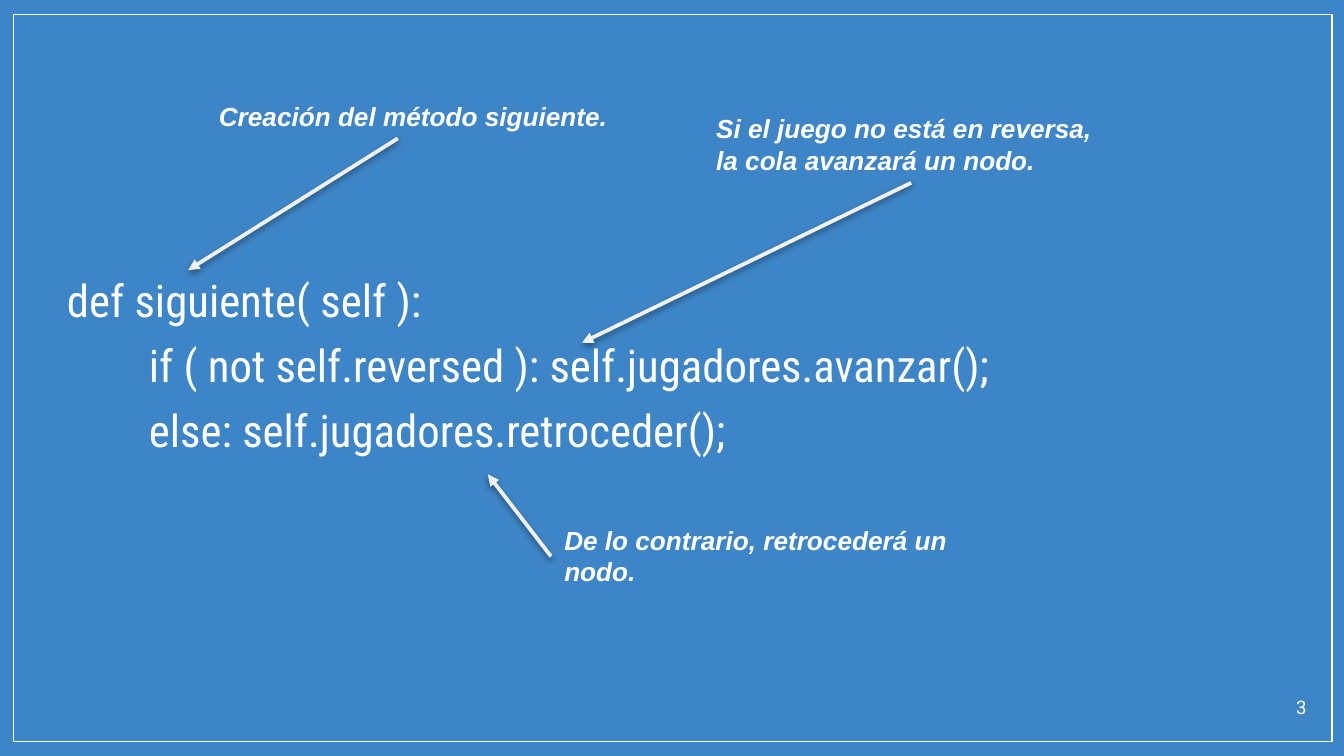
import pptx
import pptx.dml.color
import pptx.enum.shapes
import pptx.enum.text
import pptx.oxml
import pptx.oxml.ns
import pptx.util
from pptx.util import Inches

THEME = {
    "background": pptx.dml.color.RGBColor.from_string("3D85C6"),
    "text": pptx.dml.color.RGBColor.from_string("FFFFFF"),
    "arrow": pptx.dml.color.RGBColor.from_string("F2F2F2"),
    "code_size": pptx.util.Pt(24),
    "note_size": pptx.util.Pt(14),
    "number_size": pptx.util.Pt(10),
}
SHADOW = (
    f'<a:effectLst {pptx.oxml.ns.nsdecls("a")}>'
    '<a:outerShdw blurRad="40000" dist="20000" dir="5400000" rotWithShape="0">'
    '<a:srgbClr val="000000"><a:alpha val="38000"/></a:srgbClr>'
    "</a:outerShdw></a:effectLst>"
)
ARROWHEAD = f'<a:tailEnd {pptx.oxml.ns.nsdecls("a")} type="triangle"/>'


def add_text(box, lines, font_name, size, inset=None):
    """Add a wrapped text box and return its paragraphs."""
    shape = slide.shapes.add_textbox(*map(Inches, box))
    frame = shape.text_frame
    frame.word_wrap = True
    if inset is not None:
        frame.margin_left = frame.margin_right = Inches(inset)
        frame.margin_top = frame.margin_bottom = Inches(inset)
    frame.text = "\n".join(lines)
    for paragraph in frame.paragraphs:
        paragraph.font.name = font_name
        paragraph.font.size = size
        paragraph.font.color.rgb = THEME["text"]
    return frame.paragraphs


# Widescreen, 16:9
presentation = pptx.Presentation()
presentation.slide_width = Inches(10)
presentation.slide_height = Inches(10 * 9 / 16)
slide = presentation.slides.add_slide(presentation.slide_layouts[6])
slide.background.fill.solid()
slide.background.fill.fore_color.rgb = THEME["background"]

border = slide.shapes.add_shape(
    pptx.enum.shapes.MSO_SHAPE.RECTANGLE,
    Inches(0.1), Inches(0.11), Inches(9.81), Inches(5.41),
)
border.shadow.inherit = False
border.fill.background()
border.line.color.rgb = THEME["text"]
border.line.width = pptx.util.Pt(0.75)

# Code, with the method body indented
code = add_text(
    (0.32, 1.93, 9.37, 2.2),
    [
        "def siguiente( self ):",
        "if ( not self.reversed ): self.jugadores.avanzar();",
        "else: self.jugadores.retroceder();",
    ],
    "Roboto Condensed", THEME["code_size"], inset=0.1,
)
for paragraph, indent in zip(code, (0.08, 0.69, 0.69)):
    paragraph.space_before = pptx.util.Pt(6)
    paragraph._p.get_or_add_pPr().set("marL", str(Inches(indent)))

# Notes, each with an arrow to the code it explains
notes = [
    ("Creación del método siguiente.", (1.53, 0.7, 3.11, 0.34), (2.96, 1.03), (1.4, 2.01)),
    ("Si el juego no está en reversa, la cola avanzará un nodo.",
     (5.23, 0.79, 3.11, 0.57), (6.78, 1.36), (4.33, 2.55)),
    ("De lo contrario, retrocederá un nodo.",
     (4.1, 3.85, 3.11, 0.57), (4.1, 4.14), (3.63, 3.53)),
]
for note, box, start, end in notes:
    for paragraph in add_text(box, [note], "Arial", THEME["note_size"]):
        paragraph.font.bold = True
        paragraph.font.italic = True
    arrow = slide.shapes.add_connector(
        pptx.enum.shapes.MSO_CONNECTOR.STRAIGHT, *map(Inches, start + end)
    )
    arrow.line.color.rgb = THEME["arrow"]
    arrow.line.width = pptx.util.Pt(2)
    arrow.line._get_or_add_ln().append(pptx.oxml.parse_xml(ARROWHEAD))
    arrow._element.spPr.append(pptx.oxml.parse_xml(SHADOW))

page_number = add_text(
    (9.32, 5.09, 0.5, 0.32), ["3"], "Roboto", THEME["number_size"], inset=0.1
)
page_number[0].alignment = pptx.enum.text.PP_ALIGN.RIGHT

presentation.save("out.pptx")
